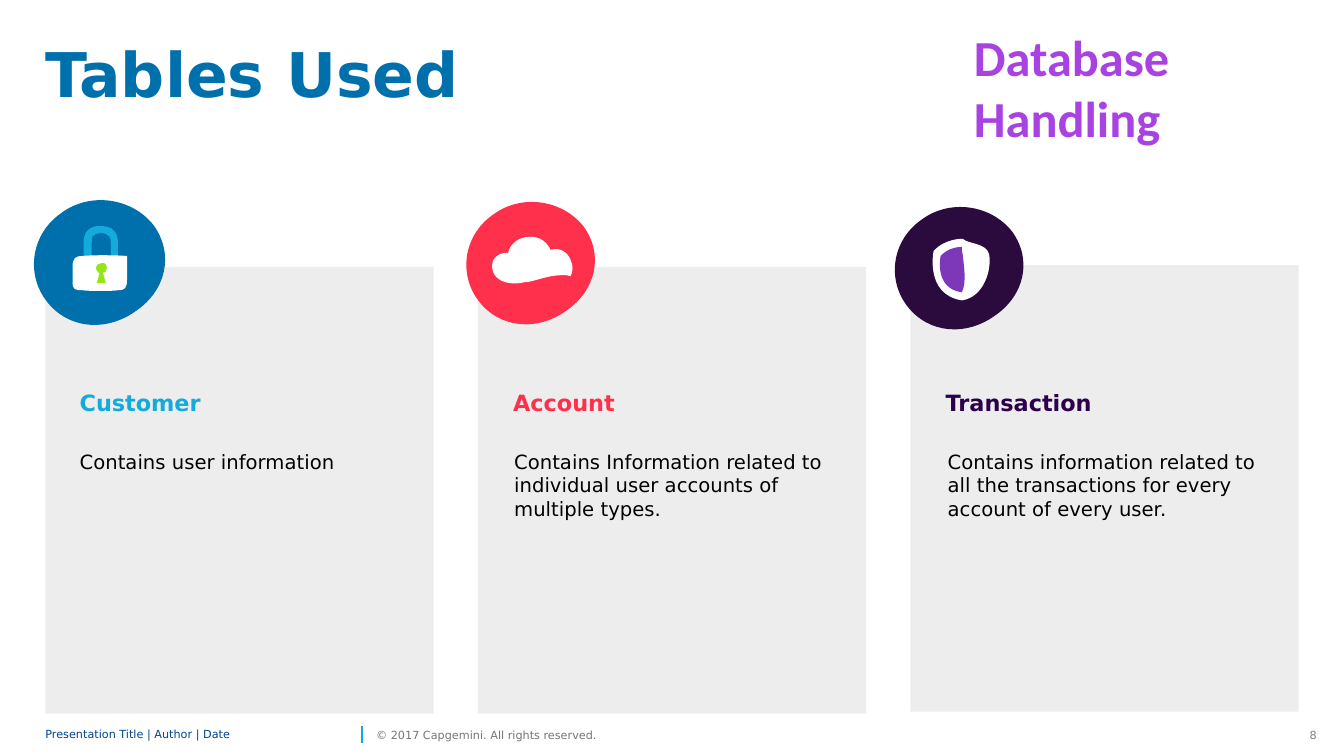
from lxml import etree
from pptx import Presentation
from pptx import util as u
from pptx.dml.color import RGBColor
from pptx.enum import shapes, text
from pptx.oxml import ns

PX = u.Inches(1) // 100
COLORS = {
    "blue": "0070AD", "sky": "12ABDB", "red": "FF304C", "plum": "2B0A3D",
    "violet": "2C004B", "purple": "7D38BA", "orchid": "A842E0", "lime": "95E616",
    "navy": "00458D", "panel": "EDEDED", "white": "FFFFFF", "black": "000000",
    "number": "808080", "copyright": "767676",
}
FONT = "DejaVu Sans"

# Outlines: a start point, then lines (x, y) or cubic curves (x1, y1, x2, y2, x, y).
DISC = [(21, 107), (0, 80, 6, 41, 35, 21), (63, 0, 104, 6, 125, 33),
        (145, 61, 137, 96, 108, 116), (79, 137, 42, 134, 21, 107)]
LOCK_BOW = [(66, 74), (58, 74), (58, 51), (58, 48, 58, 38, 68, 35),
            (72, 34, 76, 34, 81, 35), (88, 36, 92, 42, 92, 51), (92, 73), (85, 73),
            (85, 51), (85, 45, 83, 43, 80, 42), (76, 41, 73, 41, 70, 42),
            (67, 43, 66, 45, 66, 51), (66, 74)]
LOCK_BODY = [(57, 98), (63, 99, 87, 99, 92, 98), (99, 98, 101, 96, 101, 87),
             (101, 64), (88, 63, 65, 63, 57, 64), (50, 64, 47, 66, 47, 75),
             (47, 90), (47, 97, 49, 98, 57, 98)]
KEYHOLE = [(76, 81), (79, 81, 81, 79, 81, 76), (81, 73, 79, 70, 76, 71),
           (73, 71, 70, 73, 70, 76), (71, 79, 73, 82, 76, 81)]
KEY_SLOT = [(74, 80), (71, 91), (80, 91), (77, 80), (74, 80)]
CLOUD = [(112, 66), (109, 58, 101, 53, 92, 56), (92, 56, 87, 42, 71, 43),
         (59, 43, 51, 52, 50, 59), (44, 58, 34, 62, 34, 72),
         (35, 92, 60, 90, 66, 88), (75, 88, 88, 81, 104, 81),
         (107, 81, 110, 81, 112, 82), (114, 78, 115, 72, 112, 66)]
SHIELD = [(47, 52), (59, 39, 76, 40, 76, 40), (81, 45, 99, 44, 102, 55),
          (105, 70, 97, 98, 75, 101), (38, 95, 47, 52, 47, 52)]
SHIELD_HALF = [(76, 56), (75, 52, 75, 50, 75, 48), (73, 48, 62, 48, 54, 57),
               (54, 57, 47, 89, 75, 93), (80, 83, 77, 67, 76, 56)]

CARDS = [
    {"title": "Customer", "color": "sky", "body": "Contains user information",
     "title_x": 34, "body_x": 34, "lift": 0,
     "icon_at": (-20, -75), "disc": "blue", "disc_scale": 1.02,
     "glyph": [(LOCK_BOW, "sky"), (LOCK_BODY, "white"), (KEYHOLE, "lime"),
               (KEY_SLOT, "lime")]},
    {"title": "Account", "color": "red",
     "body": "Contains Information related to individual user accounts of multiple types.",
     "title_x": 35, "body_x": 36, "lift": 0,
     "icon_at": (-20, -73), "disc": "red", "disc_scale": 1,
     "glyph": [(CLOUD, "white")]},
    {"title": "Transaction", "color": "violet",
     "body": "Contains information related to all the transactions for every account "
             "of every user.",
     "title_x": 35, "body_x": 37, "lift": 2,
     "icon_at": (-24, -68), "disc": "plum", "disc_scale": 1,
     "glyph": [(SHIELD, "white"), (SHIELD_HALF, "purple")]},
]


def color_of(name):
    return RGBColor.from_string(COLORS[name])


def paint(shape, color):
    shape.shadow.inherit = False
    shape.fill.solid()
    shape.fill.fore_color.rgb = color_of(color)
    shape.line.fill.background()


def add_text(page, box, words, size, color, bold=False, font=FONT, spacing=None,
             after=None, anchor=text.MSO_ANCHOR.TOP, align=text.PP_ALIGN.LEFT):
    frame = page.shapes.add_textbox(*(length * PX for length in box)).text_frame
    frame.margin_left = frame.margin_right = frame.margin_top = frame.margin_bottom = 0
    frame.word_wrap = True
    frame.vertical_anchor = anchor
    frame.text = words
    para = frame.paragraphs[0]
    para.alignment = align
    if spacing:
        para.line_spacing = spacing
    if after:
        para.space_after = u.Pt(after)
    span = para.runs[0].font
    span.name, span.size, span.bold = font, u.Pt(size), bold
    span.color.rgb = color_of(color)


def add_outline(group, left, top, outline, color, scale=1):
    """Draw through every point, then join the points of each curve into one Bézier."""
    points = [(round((left + x * scale) * PX), round((top + y * scale) * PX))
              for segment in outline for x, y in zip(segment[::2], segment[1::2])]
    builder = group.shapes.build_freeform(*points[0])
    builder.add_line_segments(points[1:], close=False)
    shape = builder.convert_to_shape()
    paint(shape, color)
    steps = iter(list(shape._element.iter(ns.qn("a:lnTo"))))
    for segment in outline[1:]:
        first = next(steps)
        if len(segment) == 6:
            first.tag = ns.qn("a:cubicBezTo")
            for _ in range(2):
                step = next(steps)
                first.append(step[0])
                step.getparent().remove(step)


def add_panel(page, box, card):
    left, top, width, height = box
    panel = page.shapes.add_shape(shapes.MSO_SHAPE.RECTANGLE, left * PX,
                                  (top - card["lift"]) * PX, width * PX, height * PX)
    paint(panel, "panel")


def add_card_text(page, box, card):
    left, top, _, _ = box
    add_text(page, (left + card["title_x"], top + 100, 316, 71), card["title"], 16,
             card["color"], bold=True, spacing=u.Pt(18), after=6,
             anchor=text.MSO_ANCHOR.MIDDLE)
    add_text(page, (left + card["body_x"], top + 181, 314, 187), card["body"], 14,
             "black", after=6)


def add_icon(page, box, card):
    left, top = box[0] + card["icon_at"][0], box[1] + card["icon_at"][1]
    group = page.shapes.add_group_shape()
    add_outline(group, left, top, DISC, card["disc"], card["disc_scale"])
    for outline, color in card["glyph"]:
        add_outline(group, left, top, outline, color)


def add_header(page, box):
    left, top, width, _ = box
    add_text(page, (left + width - 322, top, 320, 96), "Database Handling", 36, "orchid",
             bold=True, font="Calibri", after=6)
    add_text(page, (left, top + 18, 708, 94), "Tables Used", 44, "blue", bold=True,
             spacing=0.9)


def add_footer(page, box):
    left, top, width, height = box
    middle = text.MSO_ANCHOR.MIDDLE
    add_text(page, (left + width - 27, top, 27, height), "8", 8, "number",
             anchor=middle, align=text.PP_ALIGN.RIGHT)
    divider_x = (left + 314) * PX
    divider = page.shapes.add_connector(shapes.MSO_CONNECTOR.STRAIGHT, divider_x,
                                        (top + 20) * PX, divider_x, (top + 3) * PX)
    divider.line.color.rgb = color_of("sky")
    divider.line.width = u.Pt(1)
    etree.SubElement(divider._element.spPr, ns.qn("a:effectLst"))
    add_text(page, (left, top, 309, height), "Presentation Title | Author | Date", 8,
             "navy", spacing=0.85, anchor=middle)
    add_text(page, (left + 328, top, 243, height),
             "© 2017 Capgemini. All rights reserved.", 8, "copyright", anchor=middle)


def main():
    deck = Presentation()
    deck.slide_width, deck.slide_height = 1333 * PX, 750 * PX
    page = deck.slides.add_slide(deck.slide_layouts[6])
    card_width, gap = 385, 44
    boxes = [(45 + index * (card_width + gap), 265, card_width, 443)
             for index in range(len(CARDS))]
    for box, card in zip(boxes, CARDS):
        add_panel(page, box, card)
    add_footer(page, (45, 717, 1261, 24))
    for box, card in zip(boxes, CARDS):
        add_card_text(page, box, card)
    add_header(page, (45, 26, 1243, 112))
    for box, card in zip(boxes, CARDS):
        add_icon(page, box, card)
    deck.save("out.pptx")


if __name__ == "__main__":
    main()
